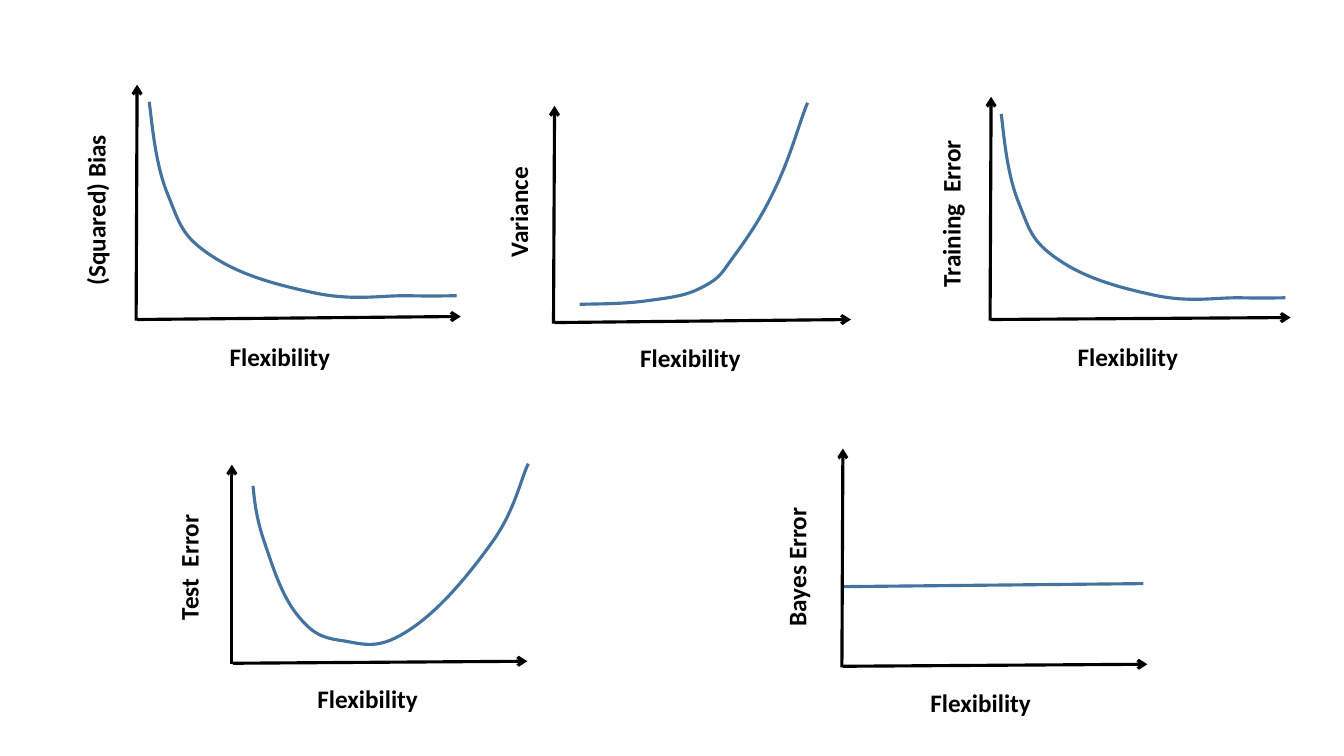
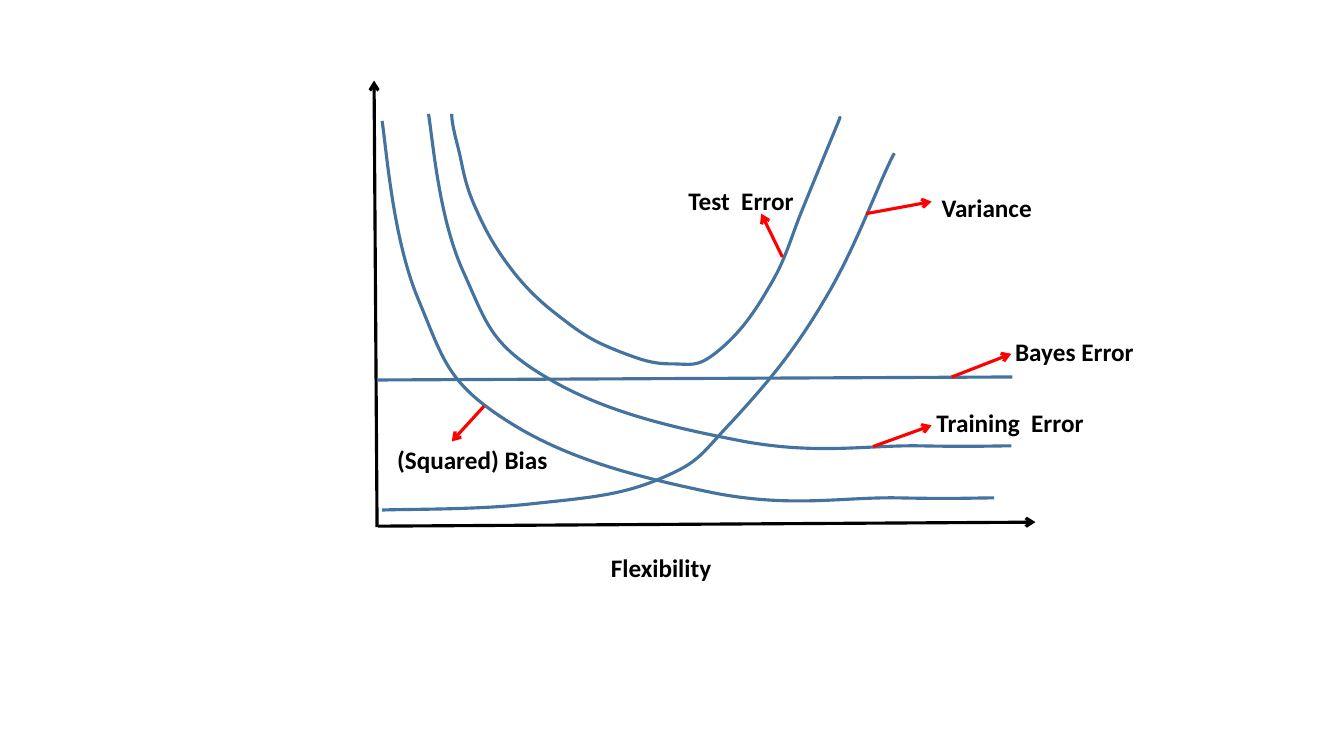
from lxml import etree
from pptx import Presentation
from pptx.dml.color import RGBColor
from pptx.enum.shapes import MSO_CONNECTOR
from pptx.oxml.ns import qn
from pptx.util import Inches, Pt

STRAIGHT = MSO_CONNECTOR.STRAIGHT
FONT = "Calibri"
COLORS = {"axis": "000000", "curve": "43739E", "pointer": "FF0000", "text": "000000"}
LINE_WIDTH = 2.25
LABEL_HEIGHT = 0.4
LABEL_WIDTH = 1.8

# Standard curve shapes, in percent of their box: a start, then three points per segment.
DECAY = [
    (0, 0),
    (0.8, 8.8), (1.8, 31), (5.9, 46.9),
    (10, 62.6), (10.5, 68.7), (20.3, 78.8),
    (30, 88.9), (41.4, 93.6), (54.2, 97.9),
    (67.1, 101.9), (75.3, 98.9), (84.5, 99.2),
    (93.6, 99.5), (96.9, 99.2), (100, 99.2),
]
GROWTH = [
    (0, 100),
    (5.1, 99.7), (17.9, 100), (28.9, 98.3),
    (39.8, 96.6), (46.5, 96), (54.3, 91.2),
    (62.2, 86.4), (62, 84.7), (68.5, 74.9),
    (75, 64.7), (80.3, 55.9), (86.4, 41),
    (92.7, 26), (96.9, 8.2), (100, 0),
]
TEST_ERROR = [
    (2.51, 4.82),
    (2.52, 4.91), (2.53, 5.09), (2.61, 5.34),
    (2.7, 5.6), (2.78, 5.88), (2.94, 6.09),
    (3.1, 6.29), (3.19, 6.33), (3.42, 6.36),
    (3.64, 6.4), (3.77, 6.44), (4.06, 6.25),
    (4.35, 6.06), (4.62, 5.74), (4.86, 5.41),
    (5.1, 5.09), (5.16, 4.77), (5.24, 4.6),
]
TEST_ERROR_COMBINED = [
    (4.48, 1.13),
    (4.48, 1.18), (4.49, 1.26), (4.54, 1.45),
    (4.59, 1.64), (4.6, 1.81), (4.72, 2.07),
    (4.83, 2.32), (4.93, 2.49), (5.11, 2.72),
    (5.3, 2.95), (5.43, 3.05), (5.64, 3.21),
    (5.84, 3.36), (5.95, 3.41), (6.15, 3.49),
    (6.36, 3.57), (6.47, 3.61), (6.66, 3.61),
    (6.85, 3.61), (6.91, 3.65), (7.1, 3.5),
    (7.29, 3.35), (7.45, 3.16), (7.62, 2.86),
    (7.8, 2.57), (7.84, 2.36), (7.97, 2.05),
    (8.1, 1.73), (8.22, 1.44), (8.29, 1.27),
    (8.36, 1.1), (8.32, 1.19), (8.32, 1.18),
]


def style_line(line, color):
    """Give a line the shared width and a named colour."""
    line.color.rgb = RGBColor.from_string(COLORS[color])
    line.width = Pt(LINE_WIDTH)


def add_line(slide, start, end, color, arrow=True):
    """Draw a straight line, by default with an arrowhead at its end."""
    connector = slide.shapes.add_connector(STRAIGHT, *map(Inches, (*start, *end)))
    style_line(connector.line, color)
    properties = connector.element.spPr
    if arrow:
        outline = properties.find(qn("a:ln"))
        etree.SubElement(outline, qn("a:tailEnd"), type="arrow")
    etree.SubElement(properties, qn("a:effectLst"))


def add_label(slide, text, left, top, width=LABEL_WIDTH, rotation=0):
    """Add a bold one-line label."""
    box = slide.shapes.add_textbox(*map(Inches, (left, top, width, LABEL_HEIGHT)))
    box.rotation = rotation
    box.text_frame.word_wrap = True
    paragraph = box.text_frame.paragraphs[0]
    paragraph.text = text
    font = paragraph.runs[0].font
    font.name, font.size, font.bold = FONT, Pt(18), True
    font.color.rgb = RGBColor.from_string(COLORS["text"])


def add_vertical_label(slide, text, left, bottom):
    """Add a label that reads upwards from its bottom left corner."""
    box_left = left + (LABEL_HEIGHT - LABEL_WIDTH) / 2
    box_top = bottom - (LABEL_HEIGHT + LABEL_WIDTH) / 2
    add_label(slide, text, box_left, box_top, rotation=270)


def fit(points, left, top, width, height):
    """Scale percent points to a box in inches."""
    return [(left + x * width / 100, top + y * height / 100) for x, y in points]


def add_curve(slide, points):
    """Draw an open chain of cubic Bézier segments."""
    start, *controls = [(Inches(x), Inches(y)) for x, y in points]
    builder = slide.shapes.build_freeform(*start)
    builder.add_line_segments(controls, close=False)
    shape = builder.convert_to_shape()
    shape.shadow.inherit = False
    shape.fill.background()
    style_line(shape.line, "curve")
    outline = next(shape.element.iter(qn("a:path")))
    segments = outline.findall(qn("a:lnTo"))
    for index, segment in enumerate(segments):
        if index % 3 == 0:
            bezier = etree.SubElement(outline, qn("a:cubicBezTo"))
        bezier.append(segment[0])
        outline.remove(segment)


def add_axes(slide, origin, top, right, label):
    """Draw both axes from their origin, and name the horizontal one."""
    x, y = origin
    add_line(slide, (x + 0.01, y - 0.01), right, "axis")
    add_line(slide, origin, top, "axis")
    add_label(slide, "Flexibility", *label)


def build_separate_plots(slide):
    """Show each error component in a plot of its own."""
    axes = [
        ((1.35, 3.18), (1.36, 0.84), (4.57, 3.14), (2.18, 3.34)),
        ((5.49, 3.21), (5.5, 1.05), (8.44, 3.17), (6.25, 3.35)),
        ((9.82, 3.18), (9.83, 0.96), (12.8, 3.15), (10.59, 3.34)),
        ((2.3, 6.59), (2.3, 4.61), (5.23, 6.56), (3.05, 6.73)),
        ((8.35, 6.62), (8.36, 4.45), (11.38, 6.59), (9.13, 6.77)),
    ]
    labels = [
        ("(Squared) Bias", 0.75, 2.93),
        ("Variance", 4.94, 2.65),
        ("Training  Error", 9.23, 2.95),
        ("Test  Error", 1.67, 6.25),
        ("Bayes Error", 7.7, 6.31),
    ]
    for plot_axes, label in zip(axes, labels):
        add_axes(slide, *plot_axes)
        add_vertical_label(slide, *label)
    add_curve(slide, fit(DECAY, 1.48, 1.01, 3.05, 1.94))
    add_curve(slide, fit(GROWTH, 5.75, 1.02, 2.26, 2))
    add_curve(slide, fit(DECAY, 9.93, 1.13, 2.82, 1.84))
    add_curve(slide, TEST_ERROR)
    add_line(slide, (8.37, 5.82), (11.34, 5.79), "curve", arrow=False)


def build_combined_plot(slide):
    """Show all error components in one plot."""
    add_axes(slide, (3.74, 5.23), (3.71, 0.8), (10.27, 5.18), (5.96, 5.43))
    add_curve(slide, fit(GROWTH, 3.79, 1.52, 5.08, 3.54))
    add_curve(slide, fit(DECAY, 3.79, 1.2, 6.07, 3.77))
    add_curve(slide, fit(DECAY, 4.25, 1.13, 5.78, 3.32))
    add_curve(slide, TEST_ERROR_COMBINED)
    add_line(slide, (3.74, 3.77), (10.04, 3.74), "curve", arrow=False)
    callouts = [
        ("Variance", (9.24, 1.86), (8.59, 2.12), (9.24, 2)),
        ("(Squared) Bias", (3.84, 4.36), (4.8, 4.03), (4.48, 4.38)),
        ("Training  Error", (9.19, 3.99), (8.66, 4.43), (9.24, 4.22)),
        ("Bayes Error", (9.97, 3.29), (9.44, 3.74), (10.03, 3.51)),
        ("Test  Error", (6.73, 1.79), (7.76, 2.55), (7.55, 2.12)),
    ]
    for text, position, start, end in callouts:
        add_line(slide, start, end, "pointer")
        add_label(slide, text, *position, width=2)


def main():
    """Build and save the presentation."""
    presentation = Presentation()
    presentation.slide_width = Inches(13.33)
    presentation.slide_height = Inches(7.5)
    blank = presentation.slide_layouts[6]
    for build in (build_separate_plots, build_combined_plot):
        build(presentation.slides.add_slide(blank))
    presentation.save("out.pptx")


if __name__ == "__main__":
    main()
